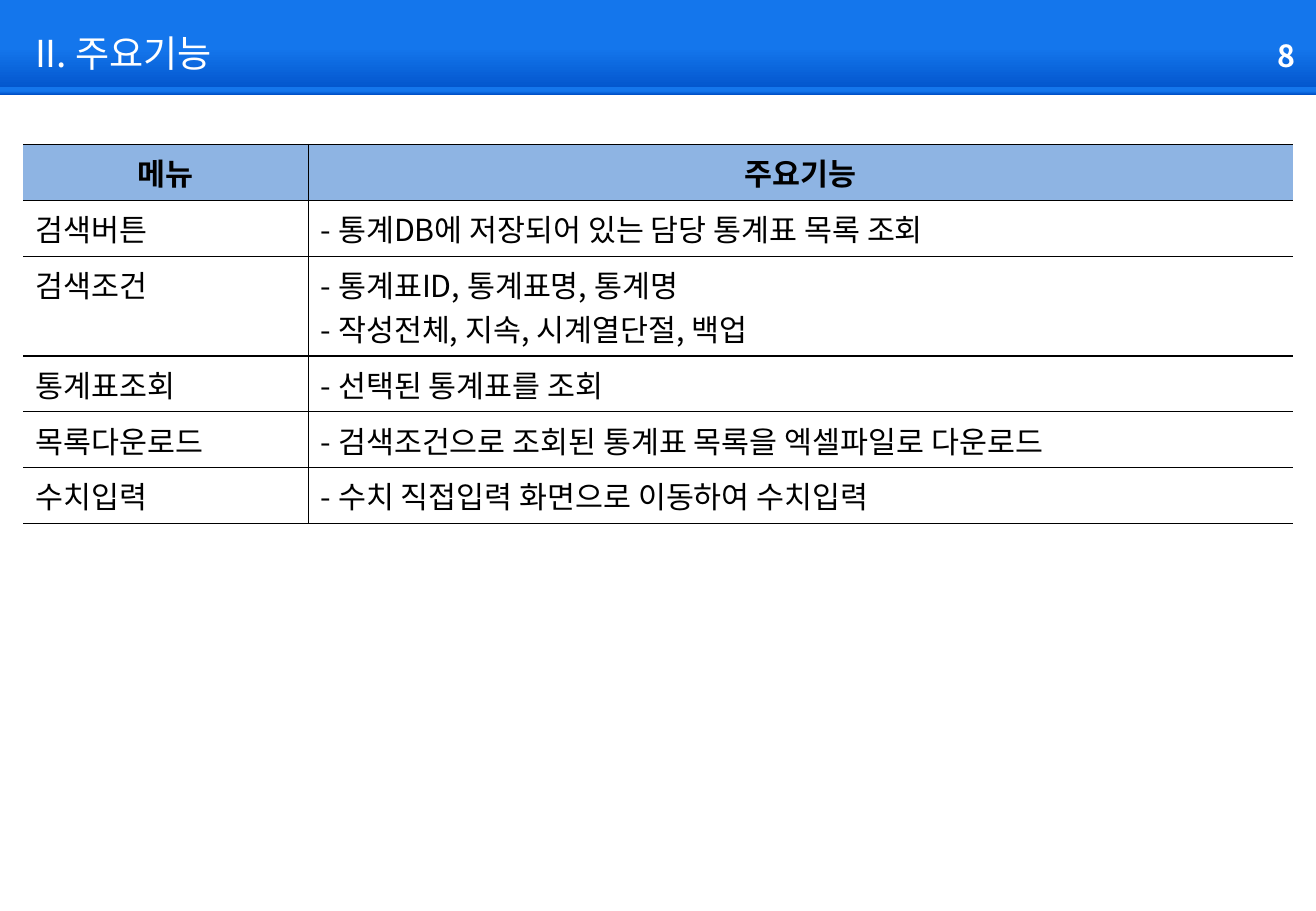
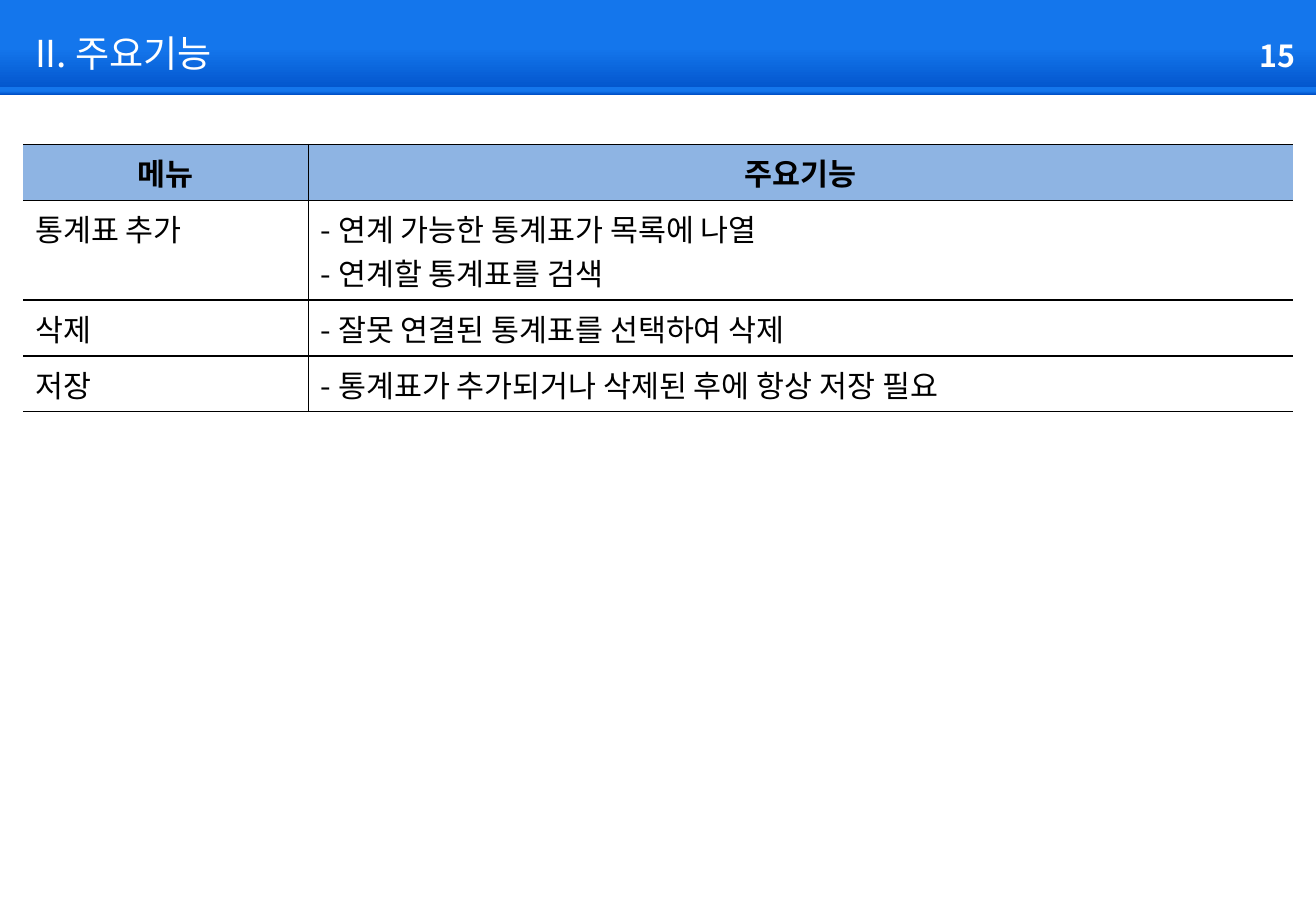
from lxml import etree
from pptx import Presentation
from pptx.dml.color import RGBColor
from pptx.enum import shapes, text
from pptx.oxml.ns import qn
from pptx.util import Inches, Pt

TITLE = "II. 주요기능"
HEADER = ("메뉴", ["주요기능"])
SLIDES = [
    (8, [
        ("검색버튼", ["- 통계DB에 저장되어 있는 담당 통계표 목록 조회"]),
        ("검색조건", ["- 통계표ID, 통계표명, 통계명",
                  "- 작성전체, 지속, 시계열단절, 백업"]),
        ("통계표조회", ["- 선택된 통계표를 조회"]),
        ("목록다운로드", ["- 검색조건으로 조회된 통계표 목록을 엑셀파일로 다운로드"]),
        ("수치입력", ["- 수치 직접입력 화면으로 이동하여 수치입력"]),
    ]),
    (15, [
        ("통계표 추가", ["- 연계 가능한 통계표가 목록에 나열",
                    "- 연계할 통계표를 검색"]),
        ("삭제", ["- 잘못 연결된 통계표를 선택하여 삭제"]),
        ("저장", ["- 통계표가 추가되거나 삭제된 후에 항상 저장 필요"]),
    ]),
]

COLORS = {"band": "1476EC", "band_dark": "0051C8", "header": "8EB4E3",
          "text": "000000", "white": "FFFFFF", "line": "000000"}
FONT = "Noto Sans CJK KR"
ALIGN = text.PP_ALIGN
COLUMNS = (2.35, 8.1)
ROW_PAD, LINE_HEIGHT = 0.1, 0.36
BAND_WIDTH = 10.86


def rgb(name):
    return RGBColor.from_string(COLORS[name])


def write(tf, lines, size=18, color="text", bold=False, align=ALIGN.LEFT):
    for i, line in enumerate(lines):
        p = tf.paragraphs[0] if i == 0 else tf.add_paragraph()
        p.alignment = align
        r = p.add_run()
        r.text = line
        r.font.size, r.font.bold, r.font.name = Pt(size), bold, FONT
        r.font.color.rgb = rgb(color)
        etree.SubElement(r.font._element, qn("a:ea"), typeface=FONT)


def add_text(slide, box, line, anchor=text.MSO_ANCHOR.TOP, **fmt):
    tf = slide.shapes.add_textbox(*map(Inches, box)).text_frame
    tf.word_wrap = True
    tf.vertical_anchor = anchor
    write(tf, [line], **fmt)


def add_band(slide, top, height):
    sp = slide.shapes.add_shape(shapes.MSO_SHAPE.RECTANGLE, 0, Inches(top),
                                Inches(BAND_WIDTH), Inches(height))
    sp.shadow.inherit = False
    sp.line.fill.background()
    sp.fill.gradient()
    sp.fill.gradient_angle = 270
    stops = zip(sp.fill.gradient_stops, (0.5, 1), ("band", "band_dark"))
    for stop, position, color in stops:
        stop.position = position
        stop.color.rgb = rgb(color)


def set_borders(cell, visible):
    """Draw the sides named in visible (letters of LRTB) and hide the others."""
    tcPr = cell._tc.get_or_add_tcPr()
    for side in "LRTB":
        ln = etree.SubElement(tcPr, qn("a:ln" + side), w=str(Pt(1)))
        if side in visible:
            fill = etree.SubElement(ln, qn("a:solidFill"))
            etree.SubElement(fill, qn("a:srgbClr"), val=COLORS["line"])
        else:
            etree.SubElement(ln, qn("a:noFill"))


def add_menu_table(slide, rows):
    rows = [HEADER] + rows
    heights = [ROW_PAD + LINE_HEIGHT * len(lines) for _, lines in rows]
    table = slide.shapes.add_table(
        len(rows), len(COLUMNS), Inches(0.19), Inches(1.19),
        Inches(sum(COLUMNS)), Inches(sum(heights))).table
    table.horz_banding = table.first_row = False
    for column, width in zip(table.columns, COLUMNS):
        column.width = Inches(width)
    for i, (menu, features) in enumerate(rows):
        table.rows[i].height = Inches(heights[i])
        is_header = i == 0
        for j, lines in enumerate(([menu], features)):
            cell = table.cell(i, j)
            set_borders(cell, "RTB" if j == 0 else "LTB")
            if is_header:
                cell.fill.solid()
                cell.fill.fore_color.rgb = rgb("header")
            else:
                cell.fill.background()
            write(cell.text_frame, lines, bold=is_header,
                  align=ALIGN.CENTER if is_header else ALIGN.LEFT)


def add_slide(prs, number, rows):
    slide = prs.slides.add_slide(prs.slide_layouts[6])
    add_band(slide, 0, 0.78)
    add_band(slide, 0.72, 0.06)
    add_text(slide, (10.14, 0.26, 0.62, 0.4), str(number),
             color="white", bold=True, align=ALIGN.RIGHT)
    add_text(slide, (0.19, 0.19, 6.45, 0.48), TITLE, size=22, color="white",
             anchor=text.MSO_ANCHOR.MIDDLE)
    add_menu_table(slide, rows)


def main():
    prs = Presentation()
    prs.slide_width, prs.slide_height = Inches(10.83), Inches(7.5)
    for number, rows in SLIDES:
        add_slide(prs, number, rows)
    prs.save("out.pptx")


if __name__ == "__main__":
    main()
